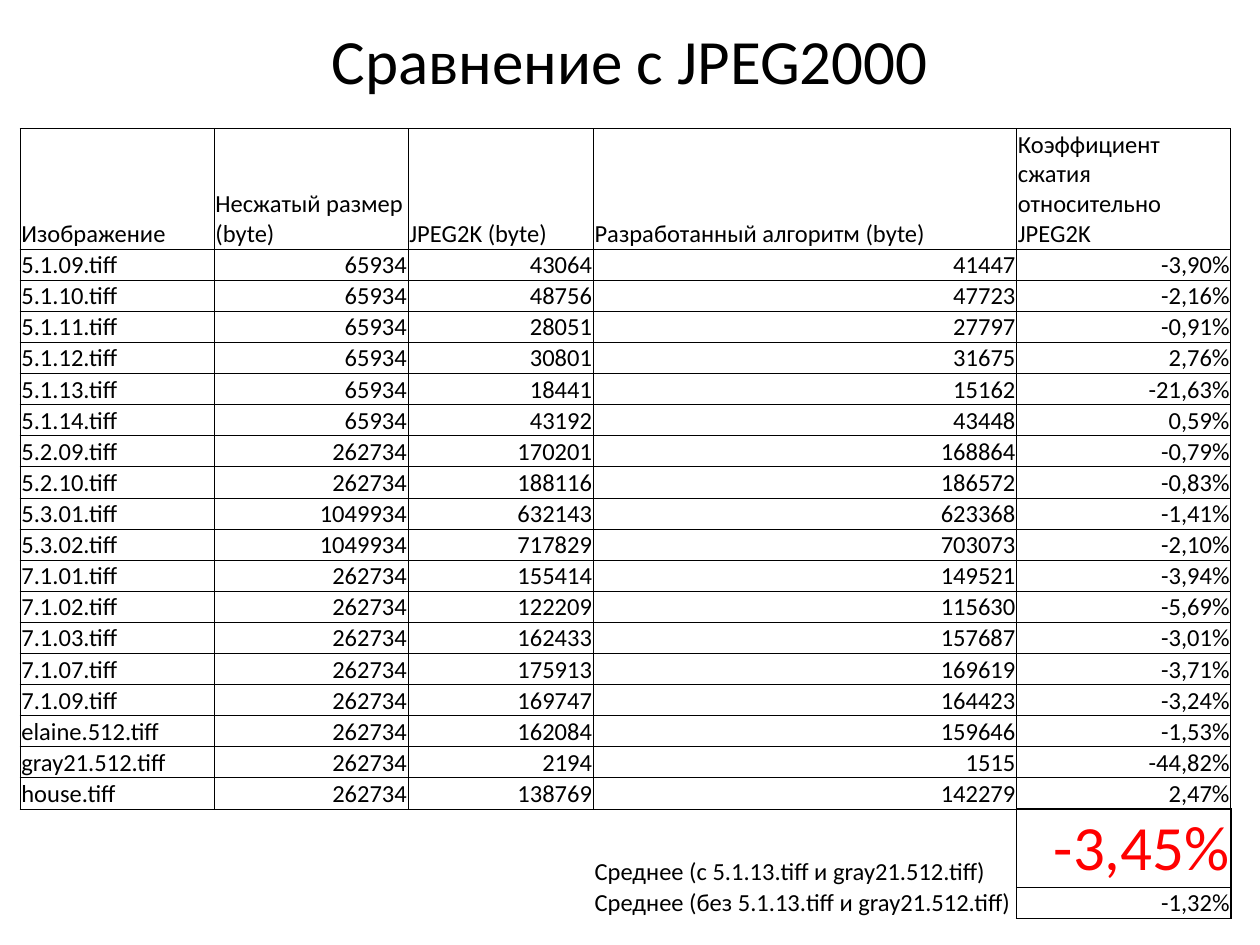
import pptx
import pptx.util
import pptx.dml.color
import pptx.enum.text
import pptx.oxml.ns
from lxml import etree

Inches, Pt = pptx.util.Inches, pptx.util.Pt
PP_ALIGN, MSO_ANCHOR = pptx.enum.text.PP_ALIGN, pptx.enum.text.MSO_ANCHOR
qn = pptx.oxml.ns.qn

COLORS = {"text": "000000", "border": "000000", "accent": "FF0000"}
FONT = "Calibri"
NO_STYLE = "{2D5ABB26-0587-4C30-8999-92F81FD0307C}"
BODY_SIZE, BIG_SIZE = 14, 36
THIN, THICK = 0.5, 1

COL_WIDTHS = [1.54, 1.54, 1.47, 3.36, 1.7]
HEADER_HEIGHT, ROW_HEIGHT = 0.47, 0.17
CELL_FORMAT = {
    "margin_left": Inches(0.01),
    "margin_top": Inches(0.01),
    "margin_right": Inches(0.01),
    "margin_bottom": 0,
    "vertical_anchor": MSO_ANCHOR.BOTTOM,
}

HEADER = ["Изображение", "Несжатый размер (byte)", "JPEG2K (byte)",
          "Разработанный алгоритм (byte)",
          "Коэффициент сжатия относительно JPEG2K"]
RESULTS = [
    ("5.1.09.tiff", "65934", "43064", "41447", "-3,90%"),
    ("5.1.10.tiff", "65934", "48756", "47723", "-2,16%"),
    ("5.1.11.tiff", "65934", "28051", "27797", "-0,91%"),
    ("5.1.12.tiff", "65934", "30801", "31675", "2,76%"),
    ("5.1.13.tiff", "65934", "18441", "15162", "-21,63%"),
    ("5.1.14.tiff", "65934", "43192", "43448", "0,59%"),
    ("5.2.09.tiff", "262734", "170201", "168864", "-0,79%"),
    ("5.2.10.tiff", "262734", "188116", "186572", "-0,83%"),
    ("5.3.01.tiff", "1049934", "632143", "623368", "-1,41%"),
    ("5.3.02.tiff", "1049934", "717829", "703073", "-2,10%"),
    ("7.1.01.tiff", "262734", "155414", "149521", "-3,94%"),
    ("7.1.02.tiff", "262734", "122209", "115630", "-5,69%"),
    ("7.1.03.tiff", "262734", "162433", "157687", "-3,01%"),
    ("7.1.07.tiff", "262734", "175913", "169619", "-3,71%"),
    ("7.1.09.tiff", "262734", "169747", "164423", "-3,24%"),
    ("elaine.512.tiff", "262734", "162084", "159646", "-1,53%"),
    ("gray21.512.tiff", "262734", "2194", "1515", "-44,82%"),
    ("house.tiff", "262734", "138769", "142279", "2,47%"),
]
AVERAGES = [
    ("", "", "", "Среднее (с 5.1.13.tiff и gray21.512.tiff)", "-3,45%"),
    ("", "", "", "Среднее (без 5.1.13.tiff и gray21.512.tiff)", "-1,32%"),
]


def set_format(obj, values):
    for name, value in values.items():
        setattr(obj, name, value)


def write(p, text, size, color, align):
    p.alignment = align
    if not text:
        # An empty cell keeps the row's text size
        etree.SubElement(p._p, qn("a:endParaRPr"), sz=str(size * 100))
        return
    r = p.add_run()
    r.text = text
    set_format(r.font, {"name": FONT, "size": Pt(size)})
    r.font.color.rgb = pptx.dml.color.RGBColor.from_string(COLORS[color])


def set_borders(cell, widths):
    tc_pr = cell._tc.get_or_add_tcPr()
    for side in "LRTB":
        ln = etree.SubElement(tc_pr, qn(f"a:ln{side}"))
        if side in widths:
            ln.set("w", str(int(Pt(widths[side]))))
            fill = etree.SubElement(ln, qn("a:solidFill"))
            etree.SubElement(fill, qn("a:srgbClr"), val=COLORS["border"])
        else:
            etree.SubElement(ln, qn("a:noFill"))


def border_widths(row, col):
    """Full grid for the results, a box around the averages only."""
    first_average, last_col = len(RESULTS) + 1, len(HEADER) - 1
    if row < first_average:
        widths = dict.fromkeys("LRTB", THIN)
        if (row, col) == (first_average - 1, last_col):
            widths["B"] = THICK
        return widths
    if col == last_col:
        return dict.fromkeys("LRTB", THICK)
    widths = {"T": THIN} if row == first_average else {}
    if col == last_col - 1:
        widths["R"] = THICK
    return widths


def add_title(s, left, top, width, height):
    title = s.shapes.title
    set_format(title, {"left": left, "top": top, "width": width, "height": height})
    tf = title.text_frame
    set_format(tf, {"word_wrap": True, "vertical_anchor": MSO_ANCHOR.MIDDLE})
    write(tf.paragraphs[0], "Сравнение с JPEG2000", BIG_SIZE, "text", PP_ALIGN.CENTER)


def add_results_table(s, left, top, width, height):
    rows = [HEADER, *RESULTS, *AVERAGES]
    table = s.shapes.add_table(len(rows), len(HEADER), left, top, width, height).table
    set_format(table, {"first_row": False, "horz_banding": False})
    table._tbl.tblPr.find(qn("a:tableStyleId")).text = NO_STYLE
    for column, col_width in zip(table.columns, COL_WIDTHS):
        column.width = Inches(col_width)

    # Rows grow to fit their text
    for i, values in enumerate(rows):
        table.rows[i].height = Inches(ROW_HEIGHT if i else HEADER_HEIGHT)
        for j, text in enumerate(values):
            cell = table.cell(i, j)
            set_format(cell, CELL_FORMAT)
            set_borders(cell, border_widths(i, j))
            cell.fill.background()
            numeric = i > 0 and text and j > 0 and not text.startswith("Среднее")
            align = PP_ALIGN.RIGHT if numeric else PP_ALIGN.LEFT
            highlight = text == AVERAGES[0][-1]
            size, color = (BIG_SIZE, "accent") if highlight else (BODY_SIZE, "text")
            write(cell.text_frame.paragraphs[0], text, size, color, align)


def main():
    prs = pptx.Presentation()
    set_format(prs, {"slide_width": Inches(10), "slide_height": Inches(7.5)})
    s = prs.slides.add_slide(prs.slide_layouts[0])
    subtitle = s.placeholders[1]._element
    subtitle.getparent().remove(subtitle)

    add_title(s, 0, 0, prs.slide_width, Inches(0.94))
    add_results_table(s, Inches(0.16), Inches(1.02), Inches(9.61), Inches(6.15))
    prs.save("out.pptx")


if __name__ == "__main__":
    main()
